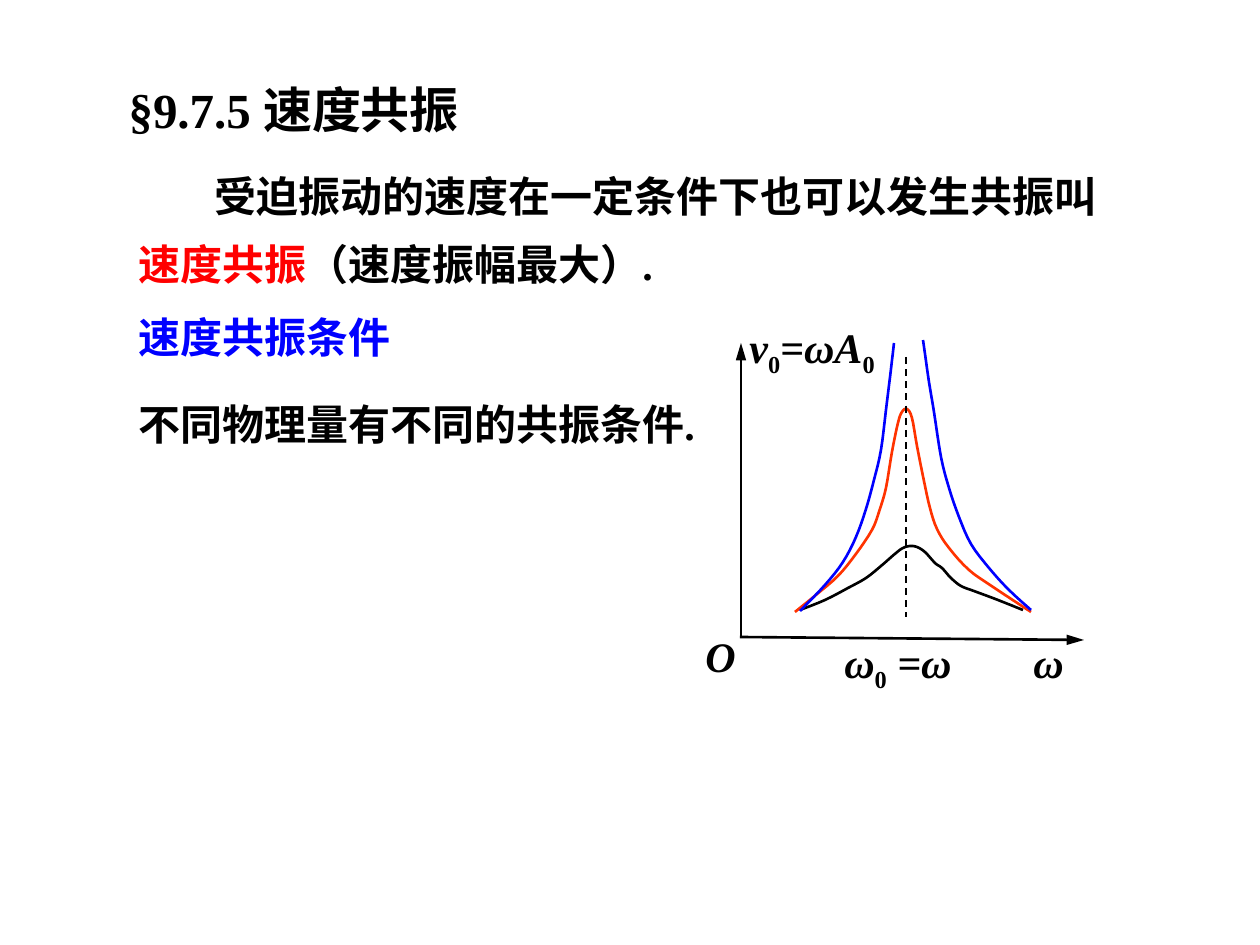
from dataclasses import dataclass

from lxml.etree import SubElement
from pptx import Presentation
from pptx.dml.color import RGBColor
from pptx.enum.dml import MSO_LINE
from pptx.enum.shapes import MSO_CONNECTOR
from pptx.enum.text import MSO_ANCHOR, MSO_AUTO_SIZE, PP_ALIGN
from pptx.oxml.ns import qn
from pptx.util import Emu, Pt

PIXELS_PER_INCH = 126


@dataclass(frozen=True)
class Theme:
    font: str = "Times New Roman"
    black: str = "000000"
    red: str = "FF0000"
    orange: str = "FF3300"
    blue: str = "0000FF"
    title_size: int = 28
    body_size: int = 24
    line_width: float = 1.5
    guide_width: float = 1


def px(length):
    return Emu(round(length * 914400 / PIXELS_PER_INCH))


def smooth_points(knots, steps=4):
    """Catmull-Rom interpolation through the knots."""
    padded = [knots[0], *knots, knots[-1]]
    points = [knots[0]]
    for before, start, end, after in zip(padded, padded[1:], padded[2:], padded[3:]):
        for step in range(1, steps + 1):
            t = step / steps
            points.append(tuple(
                0.5 * (2 * b + (c - a) * t + (2 * a - 5 * b + 4 * c - d) * t ** 2
                       + (3 * b - a - 3 * c + d) * t ** 3)
                for a, b, c, d in zip(before, start, end, after)))
    return points


class SlideBuilder:
    def __init__(self, slide, theme):
        self.slide = slide
        self.theme = theme

    def fill_text(self, shape, box, runs, size, wrap=False):
        """Runs are (text, colour, italic, subscript); returns the paragraph."""
        shape.left, shape.top, shape.width, shape.height = map(px, box)
        frame = shape.text_frame
        frame.word_wrap = wrap
        frame.auto_size = MSO_AUTO_SIZE.SHAPE_TO_FIT_TEXT
        frame.vertical_anchor = MSO_ANCHOR.TOP
        paragraph = frame.paragraphs[0]
        paragraph.alignment = PP_ALIGN.LEFT
        for text, colour, italic, subscript in runs:
            run = paragraph.add_run()
            run.text = text
            font = run.font
            font.name, font.size = self.theme.font, Pt(size)
            font.bold, font.italic = True, italic
            font.color.rgb = RGBColor.from_string(colour)
            if subscript:
                run._r.get_or_add_rPr().set("baseline", "-25000")
        return paragraph

    def title(self, box, text):
        runs = [(text, self.theme.black, False, False)]
        self.fill_text(self.slide.shapes.title, box, runs, self.theme.title_size)

    def text(self, box, *parts, wrap=False):
        shape = self.slide.shapes.add_textbox(0, 0, 0, 0)
        runs = [(text, colour, False, False) for text, colour in parts]
        return self.fill_text(shape, box, runs, self.theme.body_size, wrap)

    def formula(self, box, *parts):
        """Digits become upright subscripts, other parts are italic."""
        shape = self.slide.shapes.add_textbox(0, 0, 0, 0)
        runs = [(part, self.theme.black, not part.isdigit(), part.isdigit())
                for part in parts]
        self.fill_text(shape, box, runs, self.theme.body_size)

    def line(self, start, end, width, dashed=False, arrow=False):
        connector = self.slide.shapes.add_connector(
            MSO_CONNECTOR.STRAIGHT, *map(px, (*start, *end)))
        connector.line.color.rgb = RGBColor.from_string(self.theme.black)
        connector.line.width = Pt(width)
        if dashed:
            connector.line.dash_style = MSO_LINE.DASH
        properties = connector._element.spPr
        if arrow:
            SubElement(properties.find(qn("a:ln")), qn("a:tailEnd"),
                       type="triangle", w="med", len="lg")
        SubElement(properties, qn("a:effectLst"))

    def curve(self, knots, colour):
        points = [(px(x), px(y)) for x, y in smooth_points(knots)]
        builder = self.slide.shapes.build_freeform(*points[0])
        builder.add_line_segments(points[1:], close=False)
        shape = builder.convert_to_shape()
        shape.shadow.inherit = False
        shape.fill.background()
        shape.line.color.rgb = RGBColor.from_string(colour)
        shape.line.width = Pt(self.theme.line_width)


def main():
    theme = Theme()
    presentation = Presentation()
    presentation.slide_width, presentation.slide_height = px(1260), px(945)
    slide = presentation.slides.add_slide(presentation.slide_layouts[5])
    builder = SlideBuilder(slide, theme)

    # Heading and statements
    builder.title((116, 73, 406, 72), "§9.7.5 速度共振")
    definition = builder.text(
        (126, 147, 1008, 149),
        ("受迫振动的速度在一定条件下也可以发生共振叫", theme.black),
        ("速度共振", theme.red),
        ("（速度振幅最大）.", theme.black), wrap=True)
    definition.line_spacing = 1.35
    definition._p.get_or_add_pPr().set("indent", str(px(76)))
    builder.text((126, 305, 300, 63), ("速度共振条件", theme.blue))
    builder.text((126, 392, 616, 63), ("不同物理量有不同的共振条件.", theme.black))

    # Resonance curves, from strong to no damping
    builder.curve([(800, 610), (825, 600), (848, 588), (866, 578), (881, 566),
                   (896, 553), (903, 548), (910, 546), (917, 547), (925, 552),
                   (935, 563), (942, 568), (951, 578), (961, 586), (974, 591),
                   (998, 600), (1023, 610)], theme.black)
    builder.curve([(795, 612), (816, 595), (838, 576), (856, 554), (872, 530),
                   (879, 512), (886, 488), (892, 452), (898, 423), (902, 412),
                   (907, 409), (912, 418), (917, 446), (924, 481), (930, 508),
                   (937, 529), (949, 548), (969, 570), (993, 587),
                   (1031, 612)], theme.orange)
    builder.curve([(800, 611), (825, 585), (843, 562), (856, 537), (866, 509),
                   (874, 480), (881, 450), (886, 410), (891, 369),
                   (894, 343)], theme.blue)
    builder.curve([(1031, 610), (1009, 590), (989, 568), (971, 544), (959, 517),
                   (949, 488), (941, 457), (934, 412), (929, 382), (925, 354),
                   (923, 340)], theme.blue)

    # Axes and resonance guide
    builder.line((740, 637), (1084, 640), theme.line_width, arrow=True)
    builder.line((741, 637), (741, 343), theme.line_width, arrow=True)
    builder.line((906, 357), (906, 617), theme.guide_width, dashed=True)

    # Axis labels
    builder.formula((737, 315, 166, 63), "v", "0", "=ωA", "0")
    builder.formula((1021, 630, 54, 63), "ω")
    builder.formula((693, 624, 55, 63), "O")
    builder.formula((832, 630, 103, 63), "ω", "0")
    builder.formula((885, 630, 111, 63), "=ω")

    presentation.save("out.pptx")


if __name__ == "__main__":
    main()
